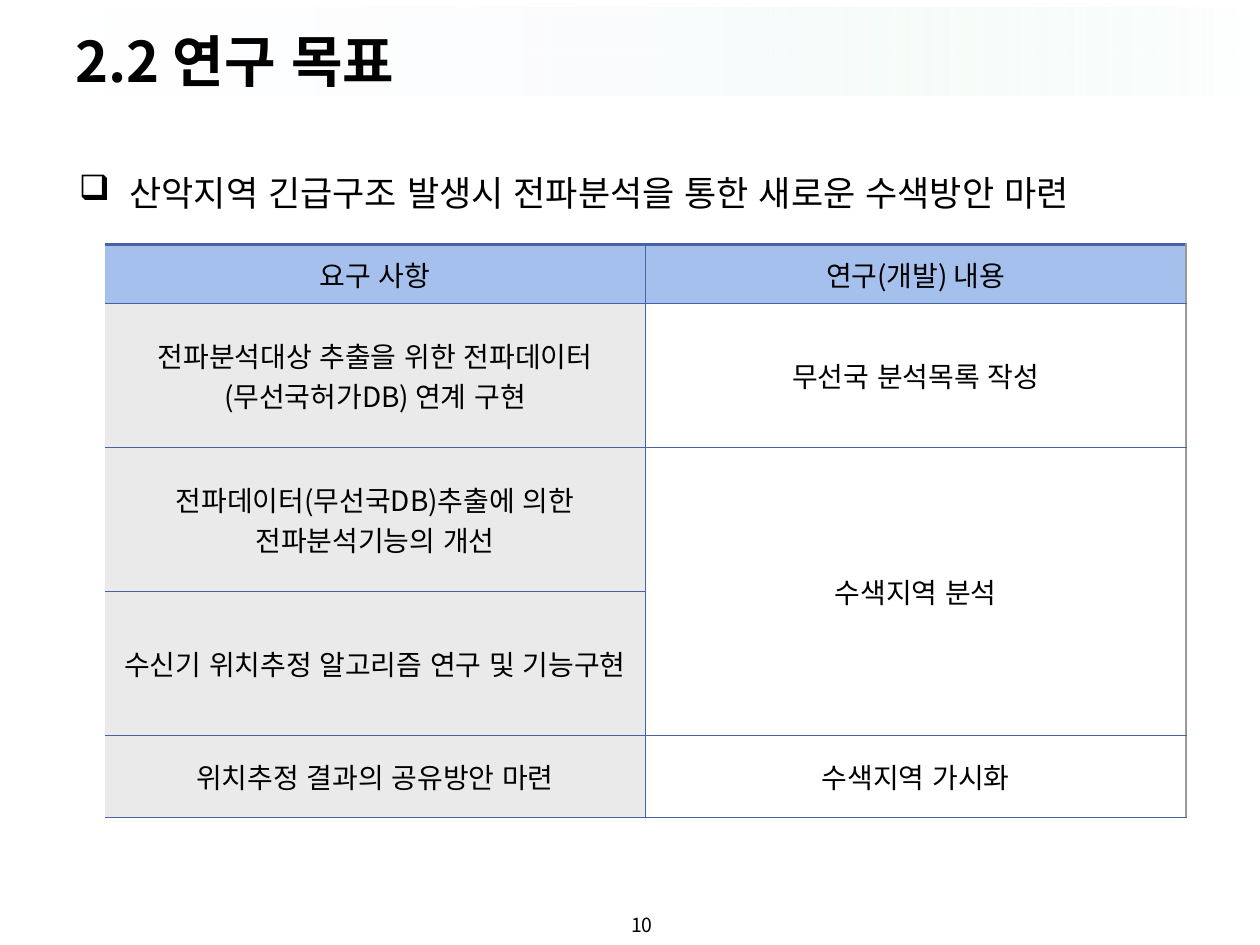
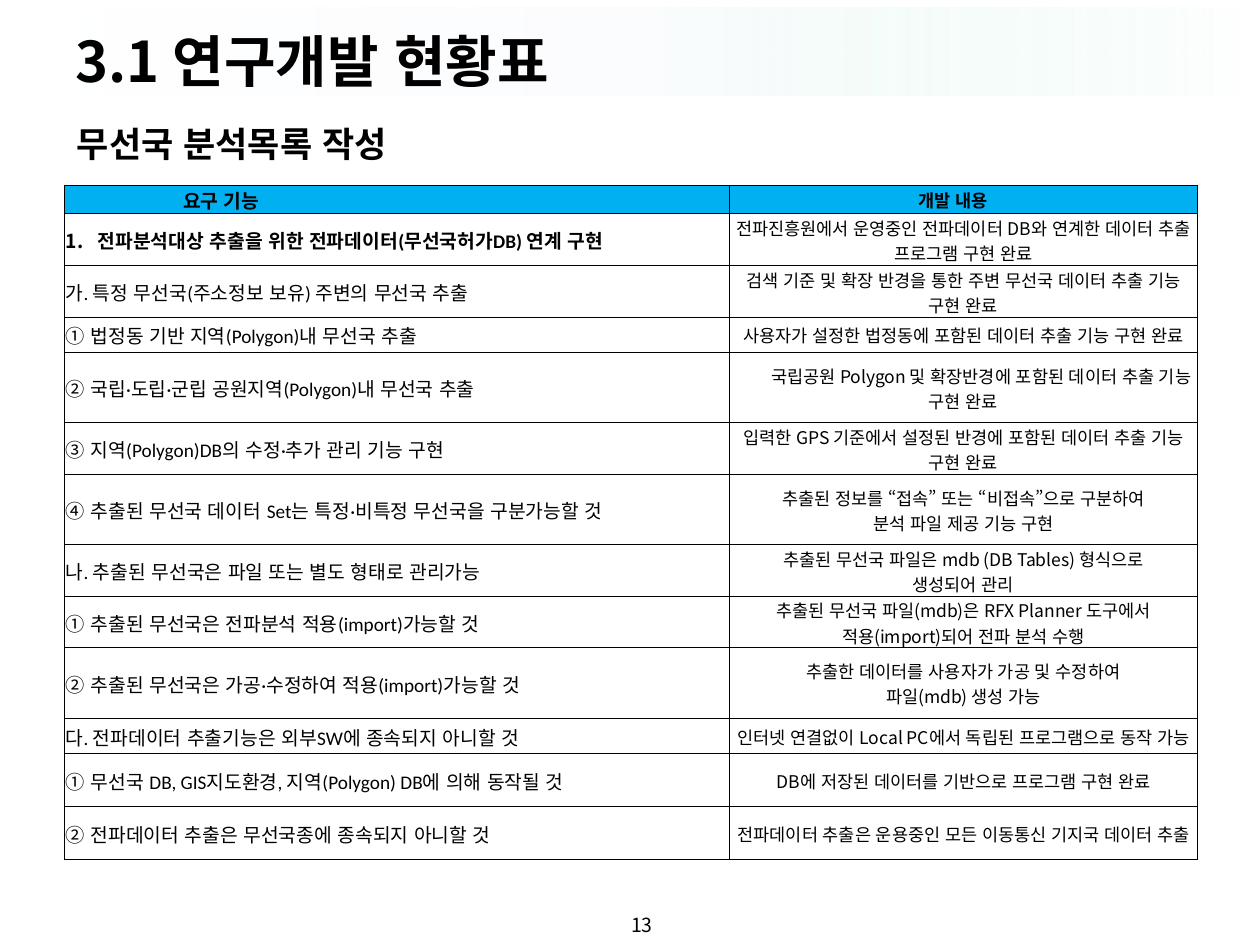
from dataclasses import dataclass
from itertools import groupby

from lxml.etree import SubElement
from pptx import Presentation
from pptx.dml.color import RGBColor
from pptx.enum.lang import MSO_LANGUAGE_ID
from pptx.enum.shapes import MSO_SHAPE
from pptx.enum.text import MSO_ANCHOR, MSO_AUTO_SIZE, PP_ALIGN
from pptx.oxml import parse_xml
from pptx.oxml.ns import nsdecls, qn
from pptx.util import Cm, Pt


@dataclass(frozen=True)
class Theme:
    ink: str = "000000"
    paper: str = "FFFFFF"
    rule: str = "4663A4"
    edge: str = "999999"
    head: str = "A5C0ED"
    need: str = "EAEAEA"
    cyan: str = "00B0F0"
    band: tuple = ((0, "FFFFFF", 78), (50, "FBFCFE", 100), (100, "DEF9EC", 0))
    font: str = "Noto Sans CJK KR"
    latin: str = "Calibri"
    title: float = 32
    lead: float = 20
    goal: float = 16
    task: float = 11
    done: float = 10
    page: float = 11.1


def cm(*sizes):
    return [Cm(size) for size in sizes]


def split(text):
    """Cut text into (is_latin, piece); a space goes with what precedes it."""
    kinds = []
    for char in text:
        kinds.append(kinds[-1] if char == " " and kinds else ord(char) < 0x1100)
    for kind, pairs in groupby(zip(kinds, text), key=lambda pair: pair[0]):
        yield kind, "".join(char for _, char in pairs)


class Deck:
    def __init__(self, theme):
        self.theme = theme
        self.prs = Presentation()
        self.prs.slide_width, self.prs.slide_height = cm(25.4, 19.05)
        self.slide = None

    def page(self, title, number):
        """Start a slide with its band, title and page number."""
        look = self.theme
        self.slide = self.prs.slides.add_slide(self.prs.slide_layouts[6])
        self.band(0, 0.15, 25.4, 1.78)
        self.box(title, (1.27, 0.33, 22.86, 1.75), size=look.title, bold=True,
                 anchor=MSO_ANCHOR.MIDDLE)
        self.box(str(number), (9.98, 18.14, 5.92, 1.02), size=look.page,
                 align=PP_ALIGN.CENTER, anchor=MSO_ANCHOR.MIDDLE)

    def band(self, *place):
        shape = self.slide.shapes.add_shape(MSO_SHAPE.RECTANGLE, *cm(*place))
        shape.shadow.inherit = False
        shape.line.fill.background()
        stops = "".join(
            f'<a:gs pos="{pos * 1000}"><a:srgbClr val="{color}">'
            f'<a:alpha val="{alpha * 1000}"/></a:srgbClr></a:gs>'
            for pos, color, alpha in self.theme.band)
        grad = parse_xml(f'<a:gradFill {nsdecls("a")}><a:gsLst>{stops}</a:gsLst>'
                         '<a:lin ang="0" scaled="0"/></a:gradFill>')
        shape.element.spPr.find(qn("a:prstGeom")).addnext(grad)

    def box(self, text, place, anchor=MSO_ANCHOR.TOP, wrap=True, **style):
        frame = self.slide.shapes.add_textbox(*cm(*place)).text_frame
        frame.word_wrap = wrap
        frame.vertical_anchor = anchor
        if not wrap:
            frame.auto_size = MSO_AUTO_SIZE.SHAPE_TO_FIT_TEXT
        self.text(frame, text, **style)

    def text(self, frame, text, size, bold=False, align=PP_ALIGN.LEFT,
             left=0, first=0, bullet=None, mixed=False):
        """Fill a frame, one paragraph a line; mixed sets Latin pieces apart."""
        for index, line in enumerate(text.split("\n")):
            para = frame.add_paragraph() if index else frame.paragraphs[0]
            para.alignment = align
            props = para._p.get_or_add_pPr()
            for key, value in {"marL": left, "indent": first}.items():
                props.set(key, str(Cm(value)))
            if bullet:
                tag, key, value = bullet
                SubElement(props, qn(tag)).set(key, value)
            for latin, piece in split(line) if mixed else [(False, line)]:
                self.run(para, piece, size, bold, latin)

    def run(self, para, text, size, bold, latin):
        run = para.add_run()
        run.text = text
        face = self.theme.latin if latin else self.theme.font
        form = {"size": Pt(size), "bold": bold, "name": face,
                "language_id": MSO_LANGUAGE_ID.KOREAN}
        for key, value in form.items():
            setattr(run.font, key, value)
        run.font.color.rgb = RGBColor.from_string(self.theme.ink)
        SubElement(run._r.get_or_add_rPr(), qn("a:ea")).set("typeface", face)

    def table(self, left, top, cols, rows):
        place = cm(left, top, sum(cols), sum(rows))
        table = self.slide.shapes.add_table(len(rows), len(cols), *place).table
        for col, width in zip(table.columns, cols):
            col.width = Cm(width)
        for row, height in zip(table.rows, rows):
            row.height = Cm(height)
        return table

    def cell(self, cell, text, fill, lines, inset, **style):
        """Fill a cell; lines maps L, R, T, B to (colour, points)."""
        form = {f"margin_{side}": Cm(size) for side, size
                in zip(("left", "right", "top", "bottom"), inset)}
        form["vertical_anchor"] = MSO_ANCHOR.MIDDLE
        for key, value in form.items():
            setattr(cell, key, value)
        props = cell._tc.get_or_add_tcPr()
        for side in "LRTB":
            line = SubElement(props, qn(f"a:ln{side}"))
            if side in lines:
                color, width = lines[side]
                line.set("w", str(Pt(width)))
                solid = SubElement(line, qn("a:solidFill"))
                SubElement(solid, qn("a:srgbClr")).set("val", color)
            else:
                SubElement(line, qn("a:noFill"))
        cell.fill.solid()
        cell.fill.fore_color.rgb = RGBColor.from_string(fill)
        if text:
            self.text(cell.text_frame, text, **style)


GOALS = [
    (1.19, "요구 사항", "연구(개발) 내용"),
    (2.9, "전파분석대상 추출을 위한 전파데이터(무선국허가DB) 연계 구현",
     "무선국 분석목록 작성"),
    (2.9, "전파데이터(무선국DB)추출에 의한 전파분석기능의 개선", "수색지역 분석"),
    (2.9, "수신기 위치추정 알고리즘 연구 및 기능구현", ""),
    (1.65, "위치추정 결과의 공유방안 마련", "수색지역 가시화"),
]

LOW, PAIR, MID, TALL = 0.71, 1.04, 1.07, 1.42
TASKS = [
    (0.58, "요구 기능", "개발 내용"),
    (PAIR, "전파분석대상 추출을 위한 전파데이터(무선국허가DB) 연계 구현",
     "전파진흥원에서 운영중인 전파데이터 DB와 연계한 데이터 추출 프로그램 구현 완료"),
    (PAIR, "가. 특정 무선국(주소정보 보유) 주변의 무선국 추출",
     "검색 기준 및 확장 반경을 통한 주변 무선국 데이터 추출 기능 구현 완료"),
    (LOW, "① 법정동 기반 지역(Polygon)내 무선국 추출",
     "사용자가 설정한 법정동에 포함된 데이터 추출 기능 구현 완료"),
    (TALL, "② 국립·도립·군립 공원지역(Polygon)내 무선국 추출",
     "국립공원 Polygon 및 확장반경에 포함된 데이터 추출 기능 구현 완료"),
    (PAIR, "③ 지역(Polygon)DB의 수정·추가 관리 기능 구현",
     "입력한 GPS 기준에서 설정된 반경에 포함된 데이터 추출 기능 구현 완료"),
    (TALL, "④ 추출된 무선국 데이터 Set는 특정·비특정 무선국을 구분가능할 것",
     "추출된 정보를 “접속” 또는 “비접속”으로 구분하여\n분석 파일 제공 기능 구현"),
    (PAIR, "나. 추출된 무선국은 파일 또는 별도 형태로 관리가능",
     "추출된 무선국 파일은 mdb (DB Tables) 형식으로\n생성되어 관리"),
    (PAIR, "① 추출된 무선국은 전파분석 적용(import)가능할 것",
     "추출된 무선국 파일(mdb)은 RFX Planner 도구에서\n적용(import)되어 전파 분석 수행"),
    (TALL, "② 추출된 무선국은 가공·수정하여 적용(import)가능할 것",
     "추출한 데이터를 사용자가 가공 및 수정하여\n파일(mdb) 생성 가능"),
    (LOW, "다. 전파데이터 추출기능은 외부SW에 종속되지 아니할 것",
     "인터넷 연결없이 Local PC에서 독립된 프로그램으로 동작 가능"),
    (MID, "① 무선국 DB, GIS지도환경, 지역(Polygon) DB에 의해 동작될 것",
     "DB에 저장된 데이터를 기반으로 프로그램 구현 완료"),
    (MID, "② 전파데이터 추출은 무선국종에 종속되지 아니할 것",
     "전파데이터 추출은 운용중인 모든 이동통신 기지국 데이터 추출"),
]


def goals(deck):
    look = deck.theme
    deck.page("2.2 연구 목표", 10)
    deck.box("산악지역 긴급구조 발생시 전파분석을 통한 새로운 수색방안 마련",
             (0.86, 3.33, 23.65, 14.6), size=look.lead, left=1.5, first=-1.02,
             bullet=("a:buChar", "char", "❑"))
    table = deck.table(2.11, 4.93, (10.9, 10.9), [row[0] for row in GOALS])
    thin = (look.rule, 0.25)
    for index, (_, *texts) in enumerate(GOALS):
        top = (look.rule, 1.5) if index == 0 else thin
        sides = {"R": thin}, {"L": thin, "R": (look.edge, 1)}
        fills = (look.need, look.paper) if index else (look.head, look.head)
        for col, text in enumerate(texts):
            deck.cell(table.cell(index, col), text, fills[col],
                      {"T": top, "B": thin, **sides[col]}, (0.1,) * 4,
                      size=look.goal, align=PP_ALIGN.CENTER)
    table.cell(2, 1).merge(table.cell(3, 1))


def status(deck):
    look = deck.theme
    deck.page("3.1 연구개발 현황표", 13)
    table = deck.table(1.3, 3.73, (13.41, 9.42), [row[0] for row in TASKS])
    lines = dict.fromkeys("LRTB", (look.ink, 0.5))
    needs = {0: {"left": 2.36},
             1: {"left": 0.64, "first": -0.64,
                 "bullet": ("a:buAutoNum", "type", "arabicPeriod")}}
    works = {4: {"first": 0.71}}
    for index, (_, need, work) in enumerate(TASKS):
        fill = look.paper if index else look.cyan
        right = 0.03 if index else 0.46
        deck.cell(table.cell(index, 0), need, fill, lines, (0.03, 0.03, 0.03, 0),
                  size=look.task, bold=index < 2, align=PP_ALIGN.JUSTIFY,
                  mixed=True, **needs.get(index, {}))
        deck.cell(table.cell(index, 1), work, fill, lines, (0.03, right, 0.03, 0),
                  size=look.done, bold=index == 0, align=PP_ALIGN.CENTER,
                  **works.get(index, {}))
    deck.box("무선국 분석목록 작성", (1.3, 2.34, 7.67, 1.12), wrap=False,
             size=look.lead, bold=True)


def main():
    deck = Deck(Theme())
    goals(deck)
    status(deck)
    deck.prs.save("out.pptx")


if __name__ == "__main__":
    main()
